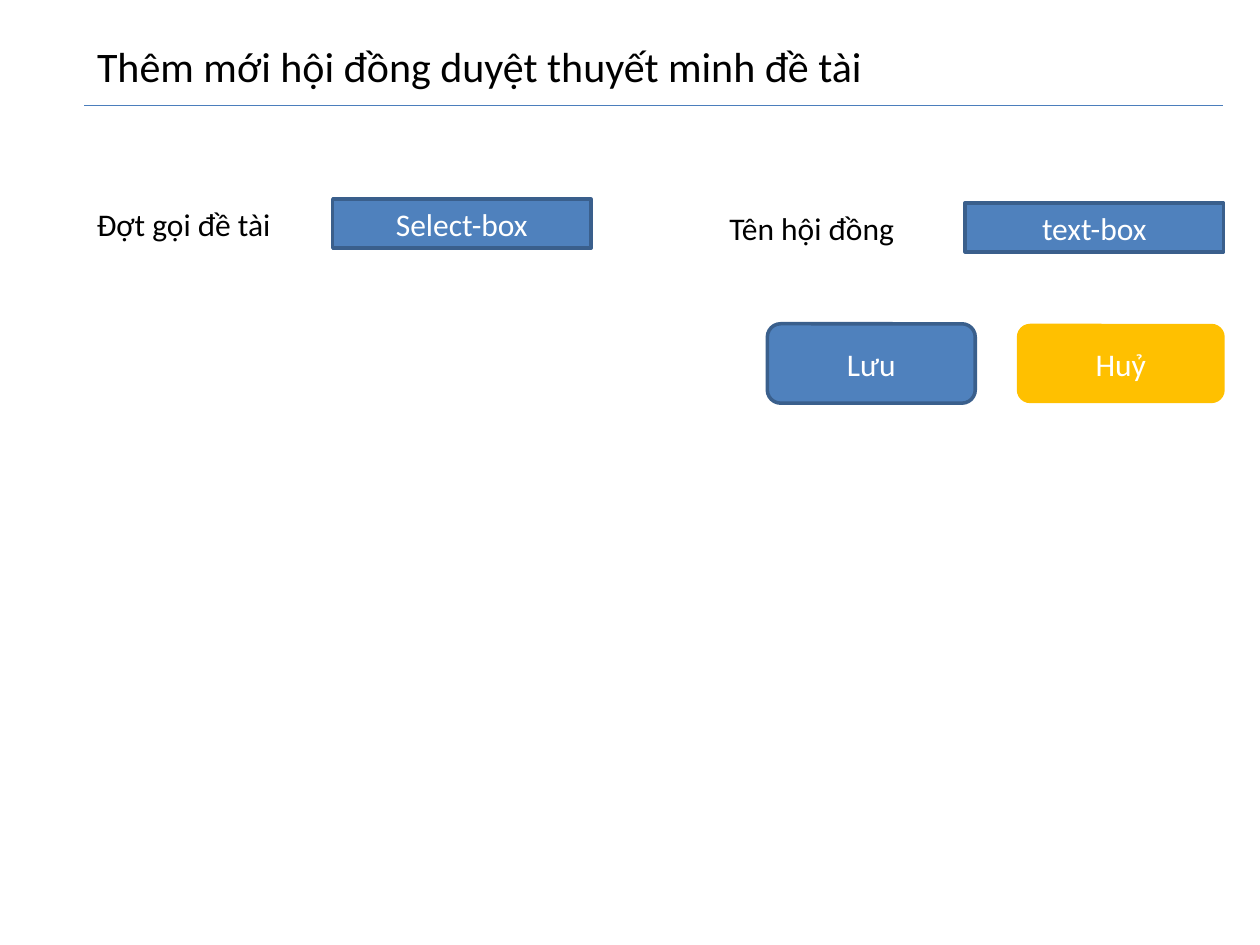
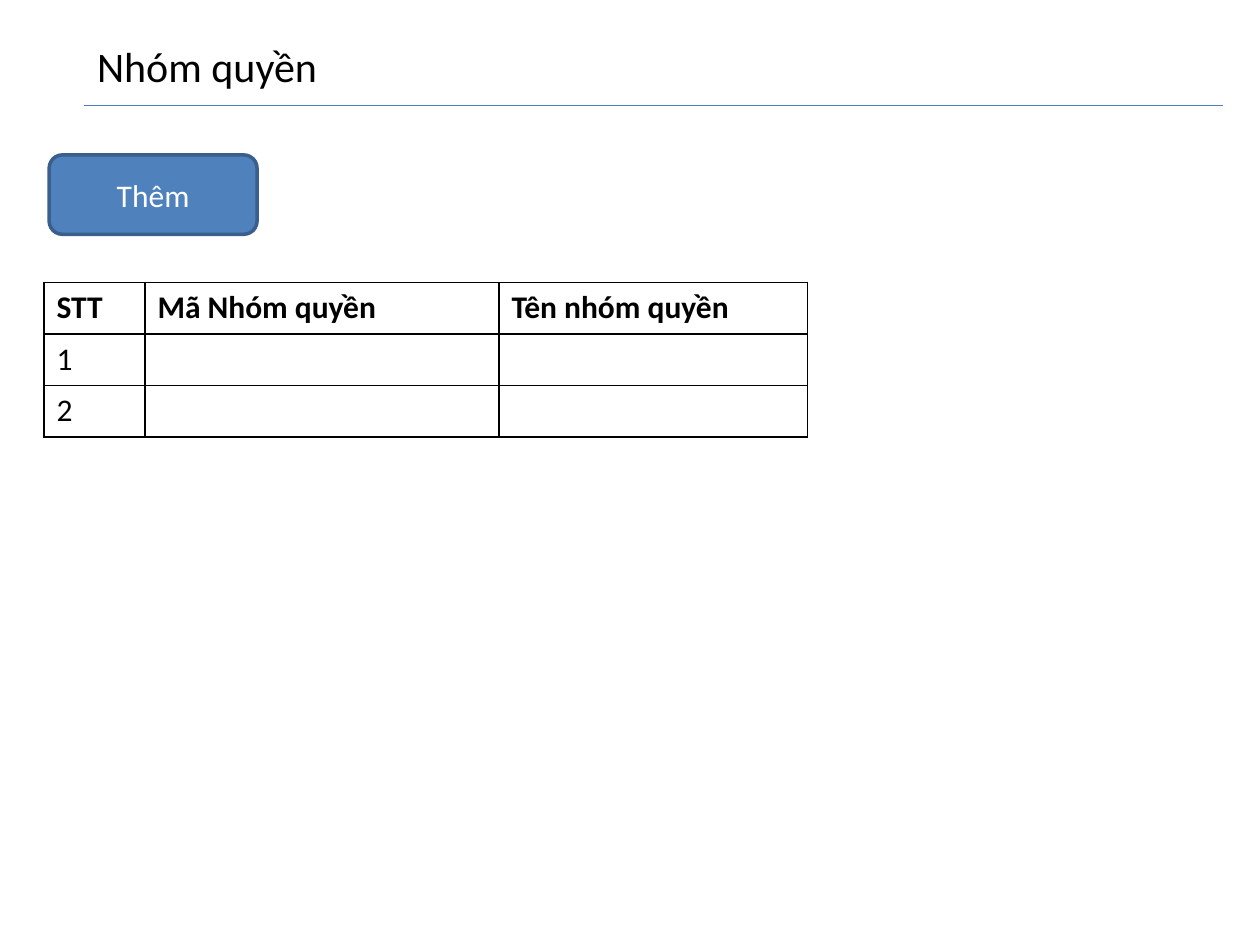
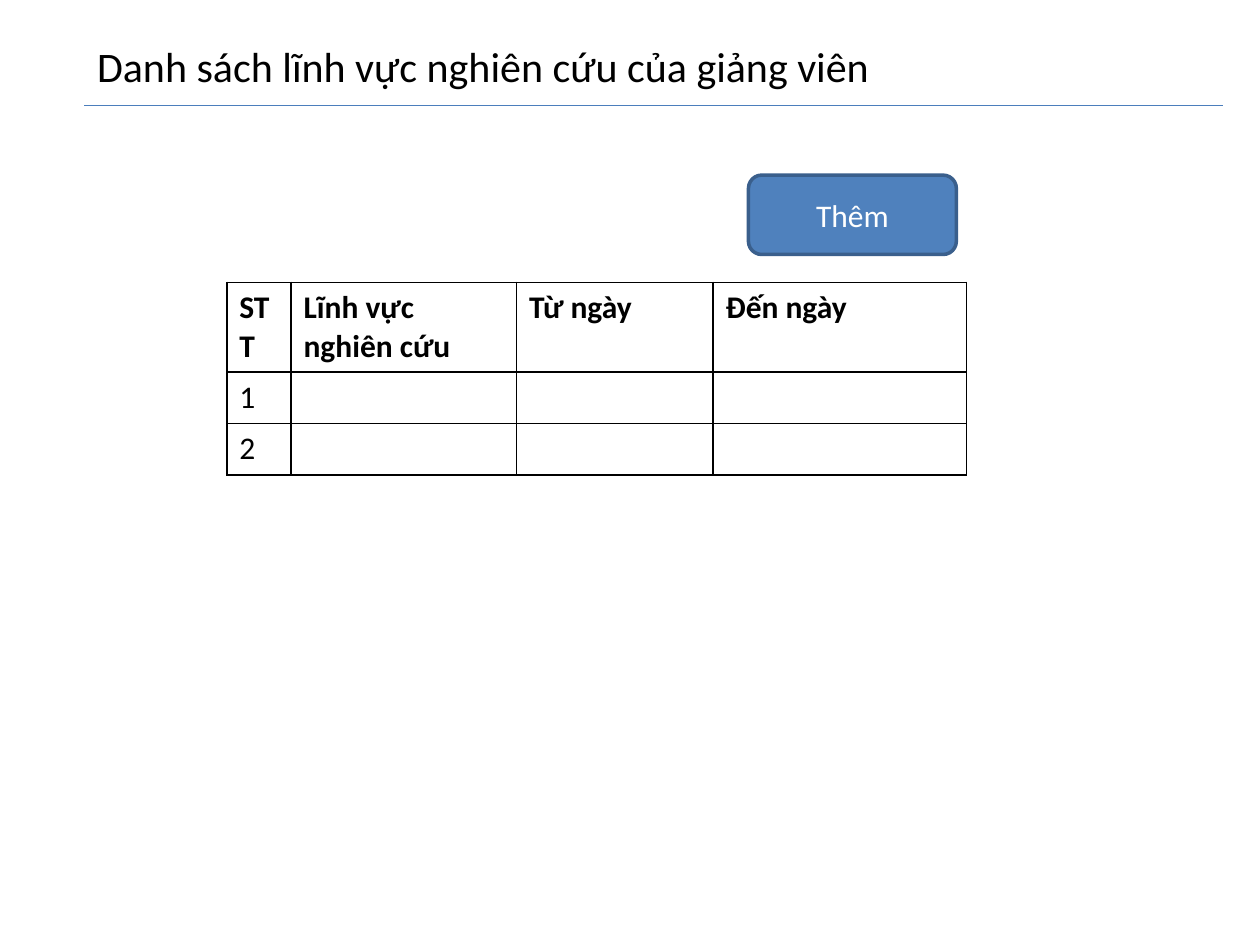
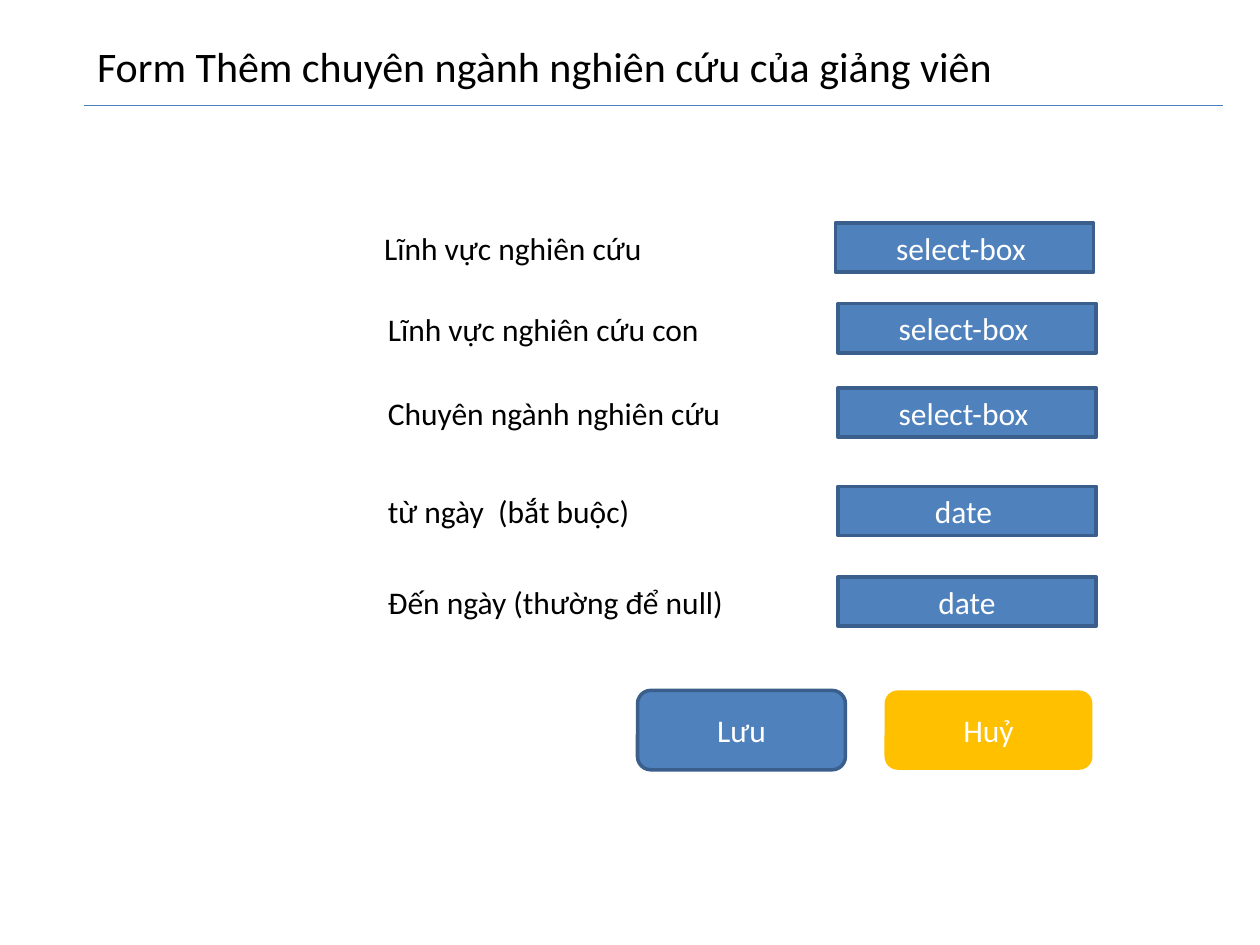
from dataclasses import dataclass

from lxml import etree
from pptx import Presentation
from pptx import util as u
from pptx.dml.color import RGBColor
from pptx.enum import shapes, text
from pptx.oxml import ns


@dataclass(frozen=True)
class Theme:
    font: str = "Calibri"
    title_size: int = 24
    body_size: int = 18
    ink: str = "000000"
    paper: str = "FFFFFF"
    blue: str = "4F81BD"
    outline: str = "3A5F8C"
    rule: str = "4B7EBC"
    amber: str = "FFC000"
    outline_width: float = 2
    rule_width: float = 0.75
    border_width: float = 1


THEME = Theme()
SLIDE_WIDTH, SLIDE_HEIGHT = 10, 7.5
LEFT, RIGHT = 0.67, 9.71
TITLE_TOP, TITLE_HEIGHT, RULE_TOP = 0.27, 0.5, 0.84
FIELD_SIZE = (2.05, 0.39)
BUTTON_SIZE = (1.65, 0.63)
LABEL_HEIGHT = 0.4
TABLE_TOP, ROW_HEIGHT = 2.24, 0.41
SAVE, CANCEL, ADD = ("Lưu", True), ("Huỷ", False), ("Thêm", True)

# field: label, control, label left, label width, control left, top
# button: (caption, is primary), left, top
SLIDES = [
    {
        "title": "Thêm mới hội đồng duyệt thuyết minh đề tài",
        "fields": [
            ("Đợt gọi đề tài", "Select-box", LEFT, 2.28, 2.64, 1.58),
            ("Tên hội đồng", "text-box", 5.69, 2.28, 7.66, 1.61),
        ],
        "buttons": [(SAVE, 6.09, 2.57), (CANCEL, 8.07, 2.57)],
    },
    {
        "title": "Nhóm quyền",
        "table": {
            "left": 0.35,
            "columns": [("STT", 0.8), ("Mã Nhóm quyền", 2.81), ("Tên nhóm quyền", 2.45)],
            "rows": ["1", "2"],
        },
        "buttons": [(ADD, 0.39, 1.23)],
    },
    {
        "title": "Danh sách lĩnh vực nghiên cứu của giảng viên",
        "table": {
            "left": 1.8,
            "columns": [("STT", 0.51), ("Lĩnh vực nghiên cứu", 1.79),
                        ("Từ ngày", 1.56), ("Đến ngày", 2.01)],
            "rows": ["1", "2"],
        },
        "buttons": [(ADD, 5.94, 1.39)],
    },
    {
        "title": "Form Thêm chuyên ngành nghiên cứu của giảng viên",
        "fields": [
            ("Lĩnh vực nghiên cứu", "select-box ", 2.95, 3.31, 6.63, 1.77),
            ("Lĩnh vực nghiên cứu con", "select-box ", 2.98, 3.31, 6.65, 2.41),
            ("Chuyên ngành nghiên cứu", "select-box ", 2.98, 3.31, 6.65, 3.08),
            ("từ ngày  (bắt buộc)", "date ", 2.98, 3.31, 6.65, 3.86),
            ("Đến ngày (thường để null)", "date", 2.98, 3.31, 6.65, 4.58),
        ],
        "buttons": [(SAVE, 5.06, 5.48), (CANCEL, 7.02, 5.48)],
    },
]


def inches(*lengths):
    return [u.Inches(length) for length in lengths]


def apply(target, values):
    for name, value in values.items():
        setattr(target, name, value)


def write(frame, content, color=THEME.ink, size=THEME.body_size, bold=False,
          align=text.PP_ALIGN.LEFT):
    frame.text = content
    paragraph = frame.paragraphs[0]
    paragraph.alignment = align
    apply(paragraph.font, {"name": THEME.font, "size": u.Pt(size), "bold": bold})
    paragraph.font.color.rgb = RGBColor.from_string(color)


def add_title(slide, content):
    title = slide.shapes.title
    left, top, width, height = inches(LEFT, TITLE_TOP, RIGHT - LEFT, TITLE_HEIGHT)
    apply(title, {"left": left, "top": top, "width": width, "height": height})
    apply(title.text_frame, {"vertical_anchor": text.MSO_ANCHOR.TOP, "word_wrap": True,
                             "auto_size": text.MSO_AUTO_SIZE.NONE})
    write(title.text_frame, content, size=THEME.title_size)

    rule = slide.shapes.add_connector(
        shapes.MSO_CONNECTOR.STRAIGHT, *inches(LEFT, RULE_TOP, RIGHT, RULE_TOP))
    rule.line.color.rgb = RGBColor.from_string(THEME.rule)
    rule.line.width = u.Pt(THEME.rule_width)
    etree.SubElement(rule._element.spPr, ns.qn("a:effectLst"))


def add_box(slide, kind, content, left, top, size, primary=True):
    """Draw a control; a primary one is blue and outlined, others are amber."""
    box = slide.shapes.add_shape(kind, *inches(left, top, *size))
    box.shadow.inherit = False
    box.fill.solid()
    box.fill.fore_color.rgb = RGBColor.from_string(THEME.blue if primary else THEME.amber)
    if primary:
        box.line.color.rgb = RGBColor.from_string(THEME.outline)
        box.line.width = u.Pt(THEME.outline_width)
    else:
        box.line.fill.background()
    box.text_frame.vertical_anchor = text.MSO_ANCHOR.MIDDLE
    write(box.text_frame, content, THEME.paper, align=text.PP_ALIGN.CENTER)


def add_field(slide, label, control, label_left, label_width, control_left, top):
    add_box(slide, shapes.MSO_SHAPE.RECTANGLE, control, control_left, top, FIELD_SIZE)
    caption = slide.shapes.add_textbox(*inches(label_left, top, label_width, LABEL_HEIGHT))
    caption.text_frame.word_wrap = True
    write(caption.text_frame, label)


def add_borders(cell):
    properties = cell._tc.get_or_add_tcPr()
    for index, side in enumerate(("lnL", "lnR", "lnT", "lnB")):
        border = etree.Element(ns.qn(f"a:{side}"), w=str(u.Pt(THEME.border_width)))
        fill = etree.SubElement(border, ns.qn("a:solidFill"))
        etree.SubElement(fill, ns.qn("a:srgbClr"), val=THEME.ink)
        properties.insert(index, border)


def add_grid(slide, left, columns, rows):
    """Draw a bordered table whose body rows show only their number."""
    headings, widths = zip(*columns)
    lines = [headings] + [[number] + [""] * (len(columns) - 1) for number in rows]
    table = slide.shapes.add_table(
        len(lines), len(columns),
        *inches(left, TABLE_TOP, sum(widths), ROW_HEIGHT * len(lines))).table
    apply(table, {"first_row": False, "horz_banding": False})
    for column, width in zip(table.columns, widths):
        column.width = u.Inches(width)
    for row_index, line in enumerate(lines):
        table.rows[row_index].height = u.Inches(ROW_HEIGHT)
        for column_index, content in enumerate(line):
            cell = table.cell(row_index, column_index)
            cell.fill.background()
            add_borders(cell)
            write(cell.text_frame, content, bold=row_index == 0)


def main():
    presentation = Presentation()
    apply(presentation, {"slide_width": u.Inches(SLIDE_WIDTH),
                         "slide_height": u.Inches(SLIDE_HEIGHT)})
    title_only = presentation.slide_layouts.get_by_name("Title Only")
    for content in SLIDES:
        slide = presentation.slides.add_slide(title_only)
        add_title(slide, content["title"])
        for field in content.get("fields", []):
            add_field(slide, *field)
        if "table" in content:
            add_grid(slide, **content["table"])
        for (caption, primary), left, top in content["buttons"]:
            add_box(slide, shapes.MSO_SHAPE.ROUNDED_RECTANGLE, caption, left, top,
                    BUTTON_SIZE, primary)
    presentation.save("out.pptx")


if __name__ == "__main__":
    main()
